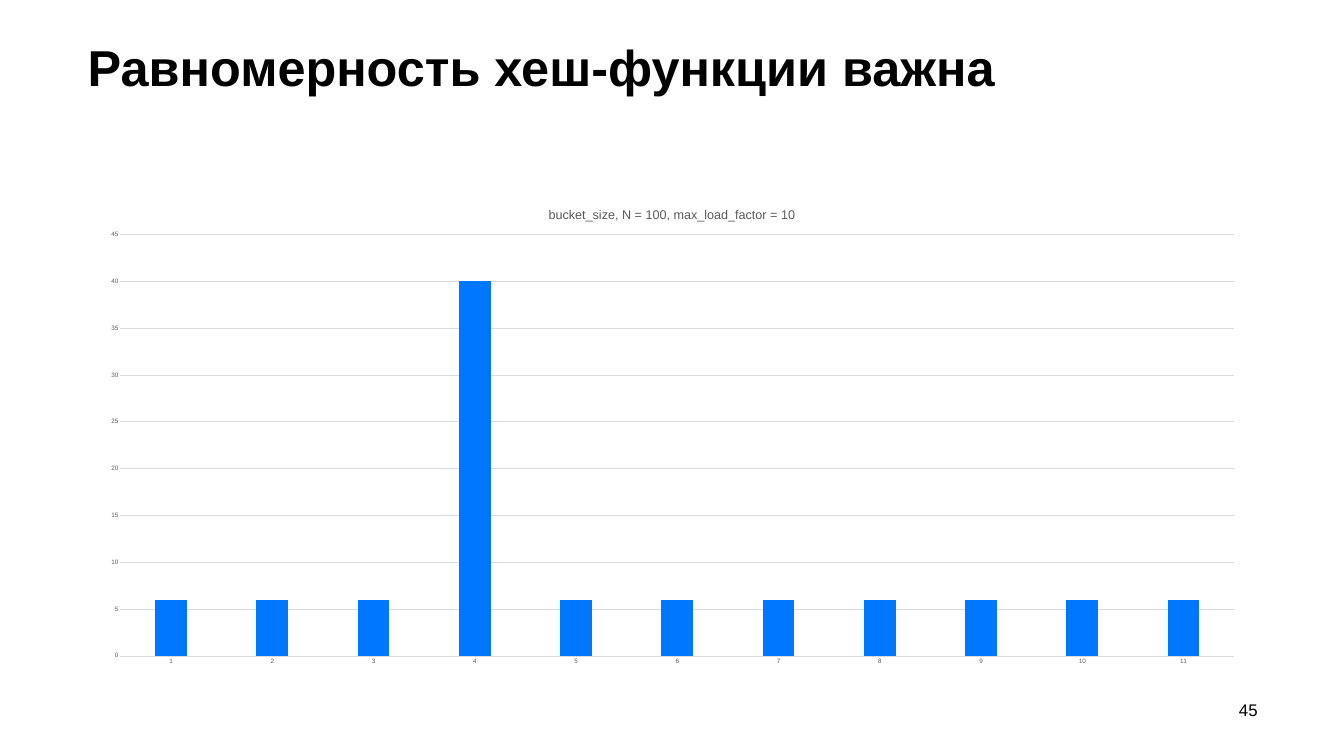
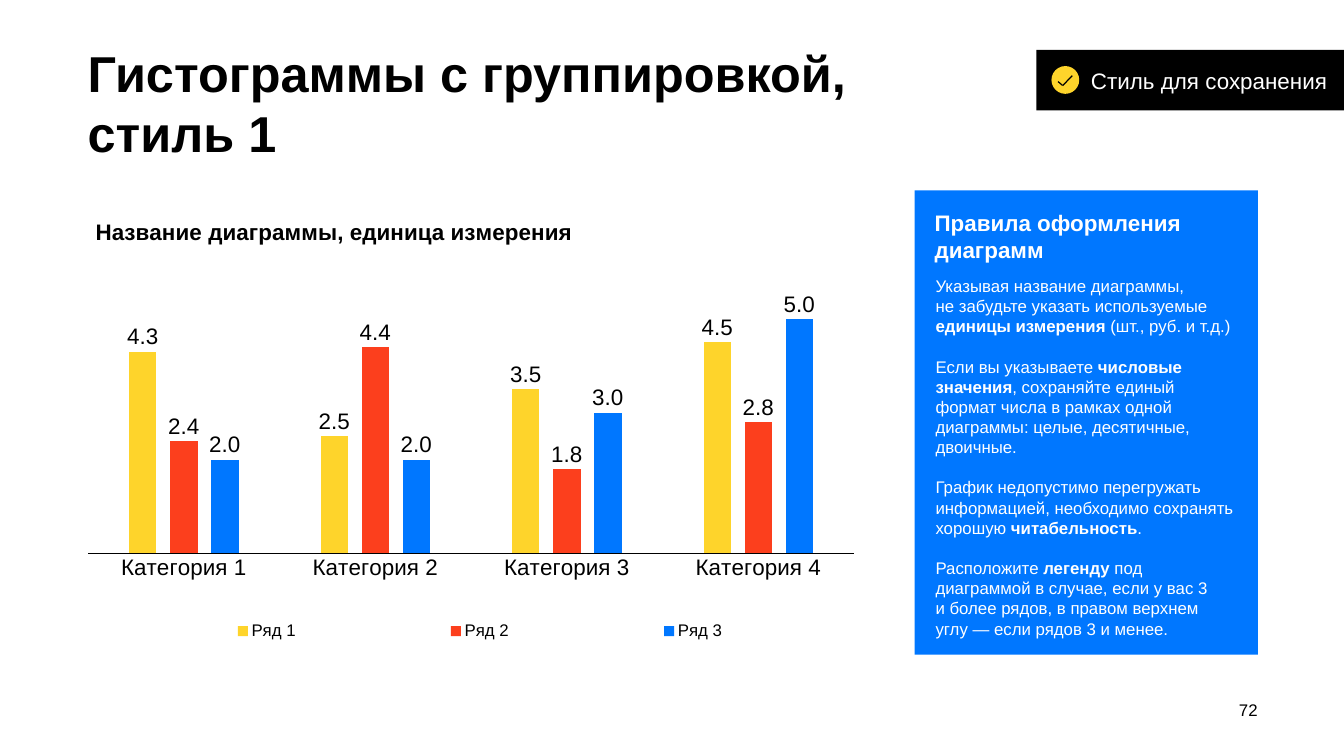
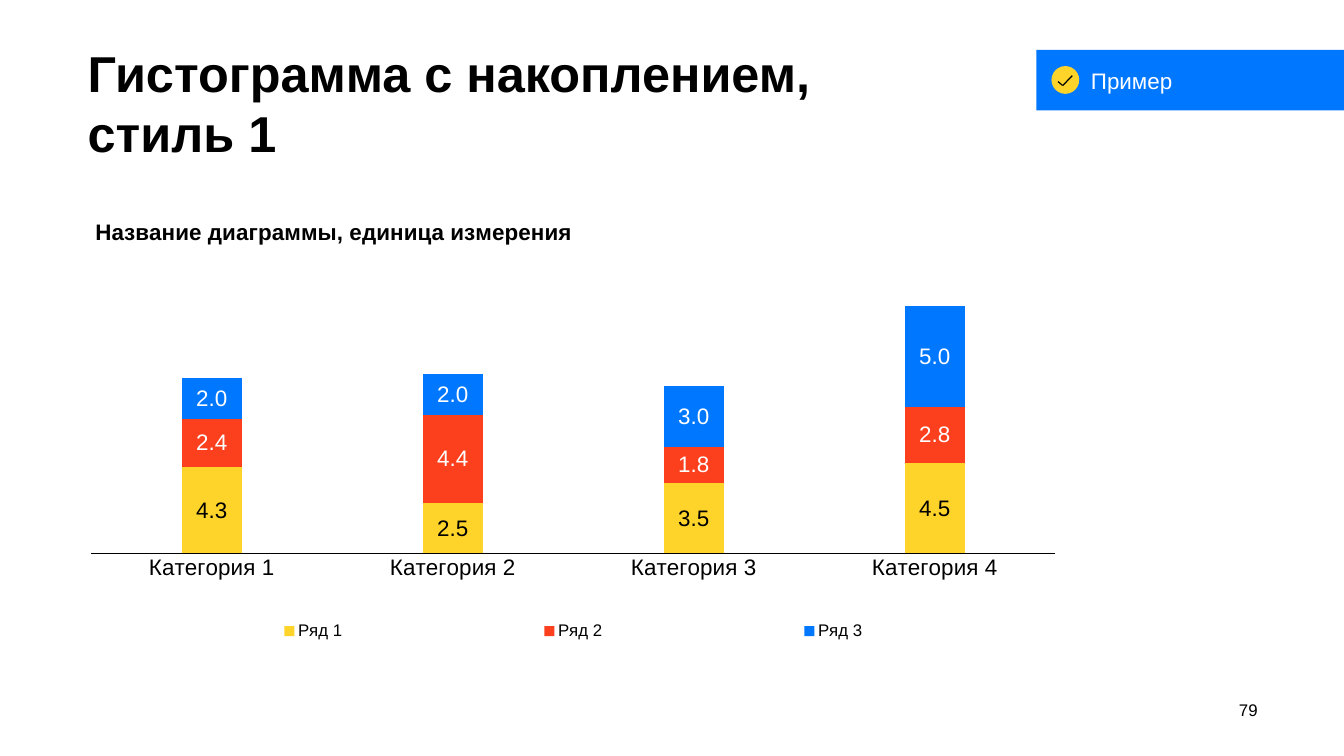
from lxml.etree import SubElement
from pptx import Presentation
from pptx.chart.data import CategoryChartData as Data
from pptx.dml.color import RGBColor
from pptx.enum.chart import XL_CHART_TYPE as Kind
from pptx.enum.chart import XL_LABEL_POSITION as Spot
from pptx.enum.chart import XL_LEGEND_POSITION as Side
from pptx.enum.chart import XL_TICK_MARK as Tick
from pptx.enum.shapes import MSO_CONNECTOR as Link
from pptx.enum.shapes import MSO_SHAPE as Form
from pptx.enum.text import MSO_ANCHOR as Anchor
from pptx.enum.text import MSO_AUTO_SIZE as Fit
from pptx.enum.text import PP_ALIGN as Align
from pptx.oxml.ns import qn
from pptx.util import Cm, Pt

BLACK = RGBColor(0x00, 0x00, 0x00)
WHITE = RGBColor(0xFF, 0xFF, 0xFF)
BLUE = RGBColor(0x00, 0x77, 0xFF)
RED = RGBColor(0xFC, 0x3F, 0x1D)
YELLOW = RGBColor(0xFE, 0xD4, 0x2B)
GREY = RGBColor(0x59, 0x59, 0x59)
PALE = RGBColor(0xD9, 0xD9, 0xD9)
FACE = "Arial"
LEFT = 4.42
LEAD = 1.2

GROUPS = [f"Категория {n}" for n in range(1, 5)]
ROWS = [
    ("Ряд 1", (4.3, 2.5, 3.5, 4.5), YELLOW),
    ("Ряд 2", (2.4, 4.4, 1.8, 2.8), RED),
    ("Ряд 3", (2, 2, 3, 5), BLUE),
]
BUCKETS = [6, 6, 6, 40, 6, 6, 6, 6, 6, 6, 6]
CAPTION = "Название диаграммы, единица измерения"
RULES = [
    "Указывая название диаграммы,\nне забудьте указать используемые "
    "*единицы измерения* (шт., руб. и т.д.)",
    "Если вы указываете *числовые значения*, сохраняйте единый формат числа "
    "в рамках одной диаграммы: целые, десятичные, двоичные.",
    "График недопустимо перегружать информацией, необходимо сохранять "
    "хорошую *читабельность*.",
    "Расположите *легенду* под диаграммой в случае, если у вас 3\n"
    "и более рядов, в правом верхнем\nуглу — если рядов 3 и менее.",
]


def style(font, size, color=BLACK, bold=False):
    """Set face, size, colour and weight of a font."""
    font.name, font.size, font.bold = FACE, Pt(size), bold
    font.color.rgb = color


def inset(frame, left=0, top=0, right=0, bottom=0):
    """Set the margins of a text frame in centimetres and wrap it."""
    frame.margin_left, frame.margin_top = Cm(left), Cm(top)
    frame.margin_right, frame.margin_bottom = Cm(right), Cm(bottom)
    frame.word_wrap = True


def add_page(deck, title, top, number):
    """Add a slide with its title and page number."""
    slide = deck.slides.add_slide(deck.slide_layouts[5])
    head = slide.shapes.title
    head.left, head.top, head.width, head.height = map(Cm, (LEFT, top, 58.98, 4.04))
    frame = head.text_frame
    inset(frame, top=0.6)
    frame.auto_size, frame.vertical_anchor = Fit.NONE, Anchor.TOP
    frame.text = title
    par = frame.paragraphs[0]
    par.alignment, par.line_spacing = Align.LEFT, Pt(72 * LEAD)
    for run in par.runs:
        style(run.font, 72, bold=True)
    frame = add_text(slide, (60.32, 35.05, 3.05, 1.22), [str(number)], 24, BLACK)
    frame.margin_top, frame.vertical_anchor = Cm(0.2), Anchor.MIDDLE
    frame.paragraphs[0].alignment = Align.RIGHT
    return slide


def add_text(slide, box, texts, size, color, bold=False):
    """Add a text box; asterisks enclose bold words."""
    frame = slide.shapes.add_textbox(*map(Cm, box)).text_frame
    inset(frame)
    for n, text in enumerate(texts):
        par = frame.paragraphs[0] if n == 0 else frame.add_paragraph()
        par.line_spacing = Pt(size * LEAD)
        if n:
            par.space_before = Pt(size * LEAD)
        for k, line in enumerate(text.split("\n")):
            if k:
                par.add_line_break()
            for i, bit in enumerate(line.split("*")):
                run = par.add_run()
                run.text = bit
                style(run.font, size, color, bold or i % 2 == 1)
    return frame


def add_form(shapes, form, box, color):
    """Add a flat filled shape without outline."""
    shape = shapes.add_shape(form, *map(Cm, box))
    shape.shadow.inherit = False
    shape.fill.solid()
    shape.fill.fore_color.rgb = color
    shape.line.fill.background()
    return shape


def add_badge(slide, text, color):
    """Add the corner band with a check mark and a label."""
    shapes = slide.shapes.add_group_shape().shapes
    frame = add_form(shapes, Form.RECTANGLE, (52.22, 2.51, 15.5, 3.05), color).text_frame
    inset(frame, 2.75, 0.6, 0.2, 0.6)
    frame.vertical_anchor = Anchor.MIDDLE
    frame.text = text
    par = frame.paragraphs[0]
    par.alignment = Align.LEFT
    style(par.runs[0].font, 32, WHITE)
    add_form(shapes, Form.OVAL, (52.98, 3.33, 1.4, 1.4), YELLOW)
    for ends in ((53.31, 4.11, 53.52, 4.29), (53.54, 4.32, 54.03, 3.81)):
        line = shapes.add_connector(Link.STRAIGHT, *map(Cm, ends))
        line.line.color.rgb, line.line.width = BLACK, Pt(1.75)
        SubElement(line._element.spPr, qn("a:effectLst"))


def place(part, index, inner=False, **spots):
    """Give a chart part a fixed place, in shares of the chart."""
    for old in part.findall(qn("c:layout")):
        part.remove(old)
    layout = SubElement(part, qn("c:layout"))
    part.insert(index, layout)
    manual = SubElement(layout, qn("c:manualLayout"))
    if inner:
        SubElement(manual, qn("c:layoutTarget")).set("val", "inner")
    for mode in ("xMode", "yMode"):
        SubElement(manual, qn(f"c:{mode}")).set("val", "edge")
    for key, value in spots.items():
        SubElement(manual, qn(f"c:{key}")).set("val", str(value))


def add_chart(slide, kind, cats, rows, gap, lap, peak, area):
    """Add a column chart with coloured series and a fixed plot area."""
    data = Data()
    data.categories = cats
    for name, vals, _ in rows:
        data.add_series(name, vals)
    box = map(Cm, (LEFT, 9.54, 58.95, 24.47))
    chart = slide.shapes.add_chart(kind, *box, data).chart
    style(chart.font, 10)
    chart.has_legend = False
    plot = chart.plots[0]
    plot.gap_width, plot.overlap, plot.vary_by_categories = gap, lap, False
    for series, (_, _, color) in zip(plot.series, rows):
        series.format.fill.solid()
        series.format.fill.fore_color.rgb = color
    for axis in (chart.category_axis, chart.value_axis):
        axis.major_tick_mark = axis.minor_tick_mark = Tick.NONE
    axis.minimum_scale, axis.maximum_scale = 0, peak
    axis.has_major_gridlines = False
    x, y, w, h = area
    place(chart._chartSpace.chart.plotArea, 0, True, x=x, y=y, w=w, h=h)
    return chart


def set_title(chart, text, size, color, bold, x, y):
    """Write the chart title at a fixed place."""
    title = chart.chart_title
    title.text_frame.text = text
    style(title.text_frame.paragraphs[0].runs[0].font, size, color, bold)
    title.include_in_layout = False
    place(title._element, 1, x=x, y=y)


def set_line(line, color, width):
    """Set colour and width of a line."""
    line.color.rgb, line.width = color, Pt(width)


def add_buckets(slide):
    """Add the chart of bucket sizes."""
    cats = [str(n + 1) for n in range(len(BUCKETS))]
    chart = add_chart(slide, Kind.COLUMN_CLUSTERED, cats, [("Series 1", BUCKETS, BLUE)],
                      219, -27, 45, (0.028, 0.093, 0.952, 0.868))
    set_title(chart, "bucket_size, N = 100, max_load_factor = 10", 18, GREY, False, 0.392, 0.03)
    axis = chart.value_axis
    for item in (chart.category_axis, axis):
        style(item.tick_labels.font, 9, GREY)
    set_line(chart.category_axis.format.line, PALE, 0.75)
    axis.format.line.fill.background()
    axis.has_major_gridlines, axis.major_unit = True, 5
    set_line(axis.major_gridlines.format.line, PALE, 0.75)


def add_groups(slide, kind, lap, peak, left, width, inks, spot):
    """Add a sample chart with value labels and a legend below."""
    chart = add_chart(slide, kind, GROUPS, ROWS, 300, lap, peak, (left, 0.17, width, 0.58))
    set_title(chart, CAPTION, 32, BLACK, True, 0.003, 0.05)
    style(chart.category_axis.tick_labels.font, 32)
    set_line(chart.category_axis.format.line, BLACK, 1)
    chart.value_axis.visible = False
    for series, ink in zip(chart.plots[0].series, inks):
        labels = series.data_labels
        labels.show_value, labels.position = True, spot
        labels.number_format, labels.number_format_is_linked = "#,##0.0", False
        style(labels.font, 32, ink)
    chart.has_legend = True
    legend = chart.legend
    legend.position, legend.include_in_layout = Side.BOTTOM, False
    style(legend.font, 24)
    place(legend._element, 1, x=0, y=0.87, w=round(width + 0.01, 2), h=0.08)


def add_rules(slide):
    """Add the panel with the rules for charts."""
    add_form(slide.shapes, Form.RECTANGLE, (46.08, 9.6, 17.3, 23.39), BLUE)
    add_text(slide, (47.09, 10.54, 14.66, 2.49), ["Правила оформления диаграмм"],
             32, WHITE, True)
    add_text(slide, (47.14, 13.89, 15.27, 17.25), RULES, 24, WHITE)


def main():
    """Build the three slides."""
    deck = Presentation()
    deck.slide_width, deck.slide_height = Cm(67.72), Cm(38.1)

    slide = add_page(deck, "Равномерность хеш-функции важна", 1.24, 45)
    add_buckets(slide)

    slide = add_page(deck, "Гистограммы с группировкой,\vстиль 1", 1.52, 72)
    add_groups(slide, Kind.COLUMN_CLUSTERED, -50, 6, 0, 0.655, [BLACK] * 3, Spot.OUTSIDE_END)
    add_badge(slide, "Стиль для сохранения", BLACK)
    add_rules(slide)

    slide = add_page(deck, "Гистограмма с накоплением,\vстиль 1", 1.52, 79)
    add_groups(slide, Kind.COLUMN_STACKED, 100, 14, 0.003, 0.824,
               [BLACK, WHITE, WHITE], Spot.CENTER)
    add_badge(slide, "Пример", BLUE)

    deck.save("out.pptx")


if __name__ == "__main__":
    main()
